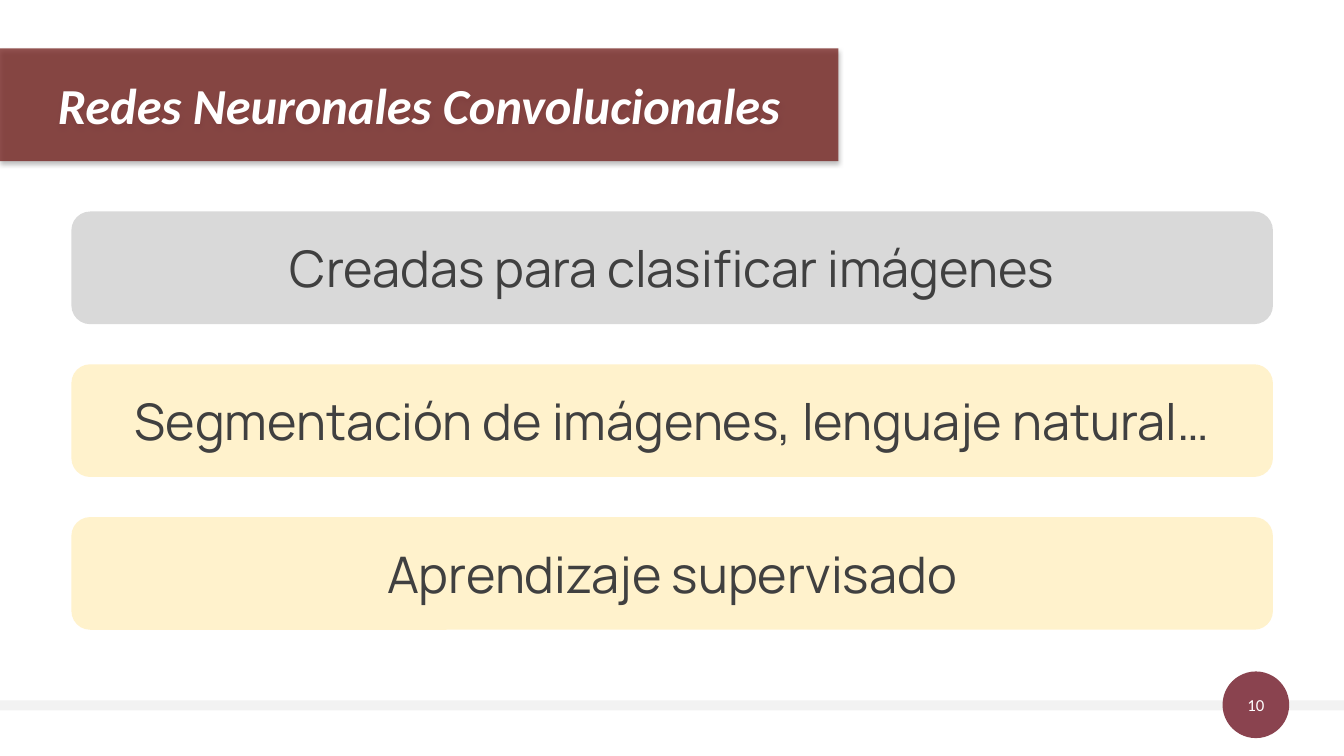
from lxml import etree
from pptx import Presentation
from pptx import util as u
from pptx.dml import color
from pptx.enum import shapes, text
from pptx.oxml import ns

SLIDE_WIDTH, SLIDE_HEIGHT = 33.87, 19.05
BAR_HEIGHT = 2.84
STATEMENTS = [
    ("Creadas para clasificar imágenes", "D9D9D9"),
    ("Segmentación de imágenes, lenguaje natural…", "FFF2CC"),
    ("Aprendizaje supervisado", "FFF2CC"),
]


def rgb(value):
    return color.RGBColor.from_string(value)


def add_block(slide, kind, box, fill):
    shape = slide.shapes.add_shape(kind, *(u.Cm(length) for length in box))
    shape.shadow.inherit = False
    shape.fill.solid()
    shape.fill.fore_color.rgb = rgb(fill)
    shape.line.fill.background()
    return shape


def write(shape, words, size, font_name, font_color, margin=0.25):
    frame = shape.text_frame
    frame.word_wrap = True
    frame.vertical_anchor = text.MSO_ANCHOR.MIDDLE
    frame.margin_left = frame.margin_right = u.Cm(margin)
    frame.margin_top = frame.margin_bottom = u.Cm(margin / 2)
    frame.text = words
    paragraph = frame.paragraphs[0]
    paragraph.alignment = text.PP_ALIGN.CENTER
    font = paragraph.runs[0].font
    font.size = u.Pt(size)
    font.name = font_name
    font.color.rgb = rgb(font_color)
    return font


def add_alpha(color_element, percent):
    etree.SubElement(color_element, ns.qn("a:alpha"), val=str(percent * 1000))


def add_drop_shadow(shape, blur, distance, opacity):
    effects = shape.element.spPr.find(ns.qn("a:effectLst"))
    shadow = etree.SubElement(
        effects, ns.qn("a:outerShdw"), blurRad=str(u.Pt(blur)),
        dist=str(u.Pt(distance)), dir="5400000", rotWithShape="0")
    add_alpha(etree.SubElement(shadow, ns.qn("a:srgbClr"), val="000000"), opacity)


def add_footer(slide, left, top, width, height):
    diameter = 1.68
    add_block(slide, shapes.MSO_SHAPE.RECTANGLE,
              (left, top + 0.73, width, 0.25), "F2F2F2")
    badge = add_block(slide, shapes.MSO_SHAPE.OVAL,
                      (left + width - 3.06, top, diameter, height), "8A434F")
    write(badge, "10", 12, "Calibri", "FFFFFF", margin=0)


def add_title(slide, left, top, width, height):
    banner = add_block(slide, shapes.MSO_SHAPE.RECTANGLE,
                       (left, top, width, height), "731F1C")
    add_alpha(banner.element.spPr.find(".//" + ns.qn("a:srgbClr")), 76)
    add_drop_shadow(banner, 3.5, 2.2, 32)
    font = write(banner, "Redes Neuronales Convolucionales", 36, "Calibri", "FFFFFF")
    font.bold = font.italic = True


def add_statements(slide, left, top, width, height):
    pitch = (height - BAR_HEIGHT) / (len(STATEMENTS) - 1)
    for index, (words, fill) in enumerate(STATEMENTS):
        bar = add_block(slide, shapes.MSO_SHAPE.ROUNDED_RECTANGLE,
                        (left, top + index * pitch, width, BAR_HEIGHT), fill)
        write(bar, words, 36, "Manrope", "404040")


def main():
    presentation = Presentation()
    presentation.slide_width = u.Cm(SLIDE_WIDTH)
    presentation.slide_height = u.Cm(SLIDE_HEIGHT)
    slide = presentation.slides.add_slide(presentation.slide_layouts[6])
    add_footer(slide, 0, 16.92, SLIDE_WIDTH, 1.68)
    add_title(slide, 0, 1.22, 21.13, BAR_HEIGHT)
    add_statements(slide, 1.8, 5.33, 30.28, 10.54)
    presentation.save("out.pptx")


if __name__ == "__main__":
    main()
